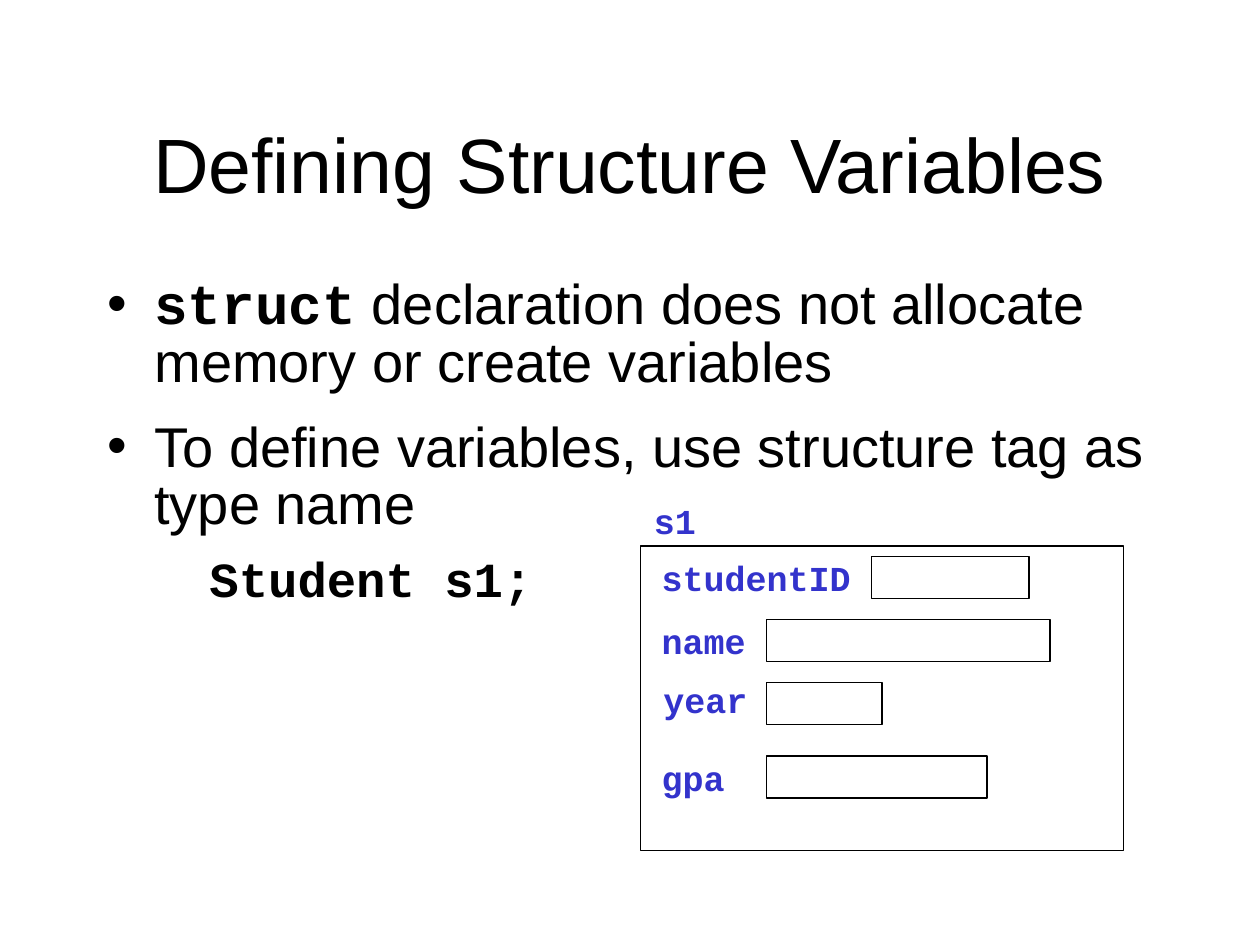
"""Build the slide on defining structure variables."""
from lxml import etree
from pptx import Presentation
from pptx import util as u
from pptx.dml import color
from pptx.enum import shapes, text
from pptx.oxml import ns


class Deck:
    """Hold the style and the current slide, with a method per element."""

    colors = {"text": "000000", "label": "3333CC"}
    sans, mono = "Arial", "Courier New"
    frame = {"auto_size": text.MSO_AUTO_SIZE.NONE, "word_wrap": True}

    def __init__(self, width, height):
        """Start a deck with one title-and-content slide."""
        self.prs = Presentation()
        self.apply(self.prs, slide_width=u.Pt(width), slide_height=u.Pt(height))
        self.s = self.prs.slides.add_slide(self.prs.slide_layouts[1])
        self.group = self.s.shapes.add_group_shape()

    def apply(self, obj, **values):
        """Set attributes from format values."""
        for name, value in values.items():
            setattr(obj, name, value)

    def rgb(self, name):
        """Return a named colour."""
        return color.RGBColor.from_string(self.colors[name])

    def place(self, sp, *box):
        """Move and size a shape, in points."""
        names = ("left", "top", "width", "height")
        self.apply(sp, **dict(zip(names, map(u.Pt, box))))

    def run(self, p, words, size, font, bold=False, tint="text"):
        """Add formatted words to a paragraph."""
        r = p.add_run()
        r.text = words
        self.apply(r.font, size=u.Pt(size), name=font, bold=bold)
        r.font.color.rgb = self.rgb(tint)

    def title(self, words, *box):
        """Fill the title placeholder."""
        sp = self.s.shapes.title
        self.place(sp, *box)
        tf = sp.text_frame
        self.apply(tf, vertical_anchor=text.MSO_ANCHOR.MIDDLE, **self.frame)
        p = tf.paragraphs[0]
        p.alignment = text.PP_ALIGN.CENTER
        self.run(p, words, 44, self.sans)

    def body(self, items, *box):
        """Fill the body placeholder with (level, runs) items."""
        sp = self.s.placeholders[1]
        self.place(sp, *box)
        tf = sp.text_frame
        self.apply(tf, **self.frame)
        levels = (
            {"size": 32, "margin": 27, "indent": -27, "bullet": "•", "before": 16, "line": 0.85},
            {"size": 28, "margin": 58.5, "indent": 0, "bullet": None, "before": 7, "line": 1.0},
        )
        for i, (level, runs) in enumerate(items):
            p = tf.add_paragraph() if i else tf.paragraphs[0]
            st = levels[level]
            self.apply(p, level=level, space_before=u.Pt(st["before"]), line_spacing=st["line"])
            self.bullet(p, st["margin"], st["indent"], st["bullet"])
            for words, font, bold in runs:
                self.run(p, words, st["size"], font, bold)

    def bullet(self, p, margin, indent, char):
        """Set the indents and the bullet of a paragraph."""
        ppr = p._p.get_or_add_pPr()
        ppr.set("marL", str(u.Pt(margin)))
        ppr.set("indent", str(u.Pt(indent)))
        if char:
            etree.SubElement(ppr, ns.qn("a:buFont")).set("typeface", self.sans)
            etree.SubElement(ppr, ns.qn("a:buChar")).set("char", char)
        else:
            etree.SubElement(ppr, ns.qn("a:buNone"))

    def box(self, *box):
        """Add an outlined empty rectangle."""
        sp = self.group.shapes.add_shape(shapes.MSO_SHAPE.RECTANGLE, *map(u.Pt, box))
        sp.shadow.inherit = False
        sp.fill.background()
        sp.line.color.rgb = self.rgb("text")
        sp.line.width = u.Pt(0.75)

    def label(self, words, left, top):
        """Add a code label as wide as its monospaced words."""
        size = (12 * len(words) + 14.4, 31.5)
        sp = self.group.shapes.add_textbox(*map(u.Pt, (left, top, *size)))
        tf = sp.text_frame
        self.apply(tf, word_wrap=False, auto_size=text.MSO_AUTO_SIZE.SHAPE_TO_FIT_TEXT)
        self.run(tf.paragraphs[0], words, 20, self.mono, True, "label")


def main():
    """Compose and save the slide."""
    d = Deck(720, 540)
    d.title("Defining Structure Variables", 54, 48, 612, 90)
    d.body(
        [
            (0, [("struct", d.mono, True),
                 (" declaration does not allocate memory or create variables", d.sans, False)]),
            (0, [("To define variables, use structure tag as type name", d.sans, False)]),
            (1, [("Student s1;", d.mono, True)]),
        ],
        54, 156, 612, 324,
    )
    d.box(366, 312, 276, 174)
    fields = (
        ("studentID", 371, 314.5, 498, 318, 90),
        ("name", 371, 350.5, 438, 354, 162),
        ("year", 372, 384, 438, 390, 66),
        ("gpa", 371, 428.5, 438, 432, 126),
    )
    for name, left, top, box_left, box_top, width in fields:
        d.label(name, left, top)
        d.box(box_left, box_top, width, 24)
    d.label("s1", 366.5, 282)
    d.prs.save("out.pptx")


if __name__ == "__main__":
    main()
